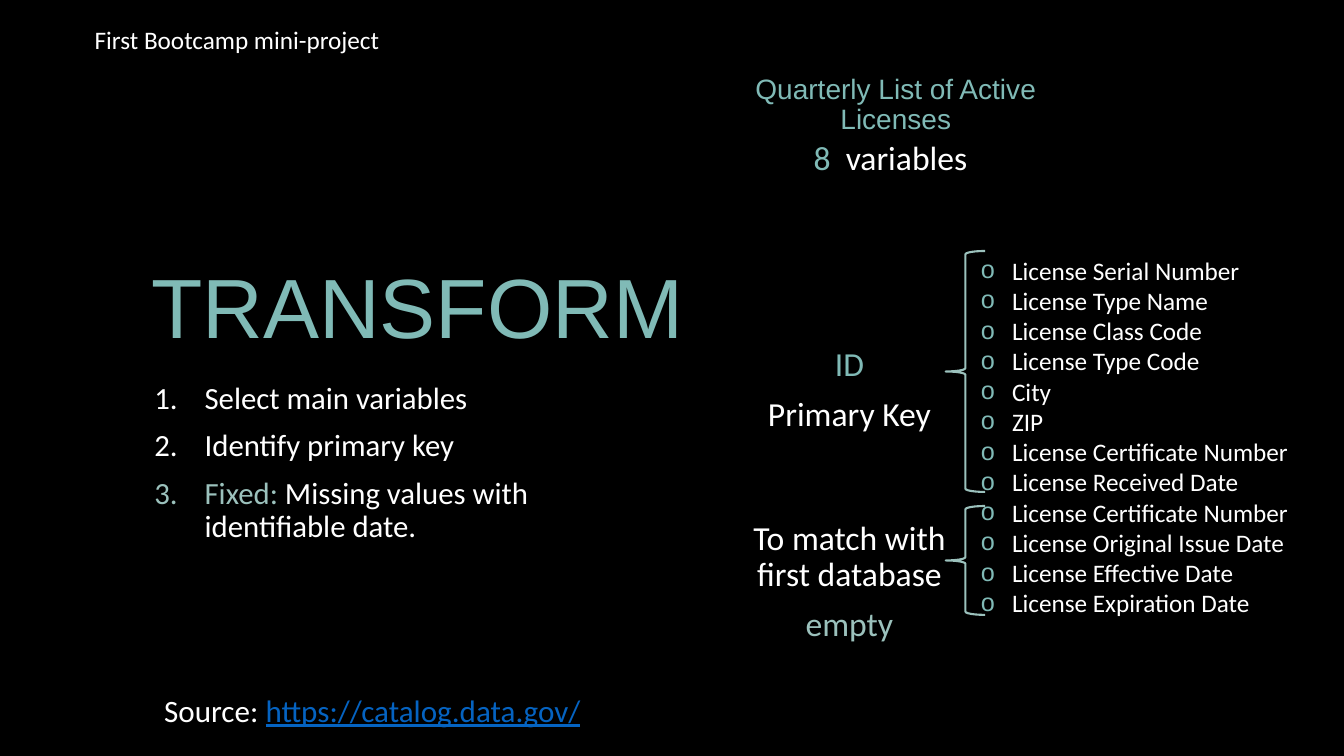
import pptx
import pptx.util
import pptx.dml.color
import pptx.enum.shapes
import pptx.enum.text
import pptx.oxml.ns
from lxml import etree

Inches = pptx.util.Inches
Pt = pptx.util.Pt
RGBColor = pptx.dml.color.RGBColor
Align = pptx.enum.text.PP_ALIGN
Anchor = pptx.enum.text.MSO_ANCHOR
Fit = pptx.enum.text.MSO_AUTO_SIZE

BLACK = RGBColor(0, 0, 0)
WHITE = RGBColor(255, 255, 255)
TEAL = RGBColor(0x80, 0xBA, 0xB6)
SAGE = RGBColor(0x9B, 0xC1, 0xBC)
BLUE = RGBColor(0x05, 0x63, 0xC1)


def put(para, text, size=24, font="Calibri", color=WHITE, line=False):
    """Add one formatted run to a paragraph."""
    run = para.add_run()
    run.text = text
    run.font.size = Pt(size)
    run.font.name = font
    run.font.color.rgb = color
    run.font.underline = line


def mark(para, tag, **attrs):
    """Add a bullet or tab element to a paragraph."""
    props = para._p.get_or_add_pPr()
    return etree.SubElement(props, pptx.oxml.ns.qn("a:" + tag), attrs)


class Deck:
    def __init__(self):
        self.prs = pptx.Presentation()
        self.prs.slide_width = Inches(13.33)
        self.prs.slide_height = Inches(7.5)
        self.slide = self.prs.slides.add_slide(self.prs.slide_layouts[0])
        self.slide.background.fill.solid()
        self.slide.background.fill.fore_color.rgb = BLACK

    def fill(self, shape, box, paras, align=Align.LEFT, gap=10, lead=0.9,
             indent=0, bullet=None, anchor=Anchor.TOP, fit=Fit.NONE,
             wrap=True, tab=0):
        """Place a text shape; each paragraph is a list of (text, format)."""
        shape.left, shape.top, shape.width, shape.height = map(Inches, box)
        frame = shape.text_frame
        frame.word_wrap = wrap
        frame.auto_size = fit
        frame.vertical_anchor = anchor
        for i, runs in enumerate(paras):
            para = frame.add_paragraph() if i else frame.paragraphs[0]
            para.alignment = align
            para.line_spacing = lead
            para.space_before = Pt(gap if i else 0)
            if indent:
                props = para._p.get_or_add_pPr()
                props.set("marL", str(Inches(indent)))
                props.set("indent", str(-Inches(indent)))
            if bullet == "1.":
                mark(para, "buFont", typeface="+mj-lt")
                mark(para, "buAutoNum", type="arabicPeriod")
            elif bullet:
                tint = mark(para, "buClr")
                etree.SubElement(tint, pptx.oxml.ns.qn("a:srgbClr"), val=str(TEAL))
                mark(para, "buFont", typeface="Arial")
                mark(para, "buChar", char=bullet)
            if tab:
                stops = mark(para, "tabLst")
                etree.SubElement(stops, pptx.oxml.ns.qn("a:tab"),
                                 pos=str(Inches(tab)), algn="l")
            for text, form in runs:
                put(para, text, **form)

    def title(self, box, paras, **form):
        self.fill(self.slide.shapes.title, box, paras, **form)

    def body(self, box, paras, **form):
        self.fill(self.slide.placeholders[1], box, paras, **form)

    def label(self, box, paras, **form):
        shape = self.slide.shapes.add_textbox(*map(Inches, box))
        self.fill(shape, box, paras, **form)

    def brace(self, top, height):
        kind = pptx.enum.shapes.MSO_SHAPE.LEFT_BRACE
        shape = self.slide.shapes.add_shape(
            kind, Inches(9.38), Inches(top), Inches(0.39), Inches(height))
        shape.shadow.inherit = False
        shape.fill.background()
        shape.line.color.rgb = SAGE
        shape.line.width = Pt(1.5)


def main():
    deck = Deck()

    # Title and steps
    deck.title((1.4, 2.08, 5.81, 1.51),
               [[("TRANSFORM", dict(size=60, font="Arial", color=TEAL))]],
               anchor=Anchor.BOTTOM)
    step = dict(size=22)
    deck.body((1.43, 3.75, 4.35, 1.85),
              [[("Select main variables", step)],
               [("Identify primary key", step)],
               [("Fixed:", dict(size=22, color=SAGE)),
                (" Missing values with identifiable date.", step)]],
              indent=0.5, bullet="1.")

    # Source and header
    deck.label((1.53, 6.88, 4.51, 0.41),
               [[("Source: ", dict(size=22.2)),
                 ("https://catalog.data.gov/",
                  dict(size=22.2, color=BLUE, line=True))]], lead=0.8)
    deck.label((0.84, 0.19, 3.05, 0.4),
               [[("First Bootcamp mini-project", dict(size=18))]],
               lead=1.0, wrap=False, fit=Fit.SHAPE_TO_FIT_TEXT)

    # Data set heading
    deck.label((6.92, 0.7, 3.93, 1.04),
               [[("Quarterly List of Active Licenses",
                  dict(size=20, font="Arial", color=TEAL))]],
               align=Align.CENTER)
    deck.label((7.97, 1.39, 2.11, 0.42),
               [[("8\t", dict(color=TEAL)), ("variables", {})]],
               lead=0.8, tab=0.32)

    # Variable groups
    deck.label((7.33, 3.4, 2.19, 1.04),
               [[("ID", dict(color=TEAL))], [("Primary Key", {})]],
               align=Align.CENTER)
    deck.brace(2.49, 2.39)
    names = ["License Serial Number", "License Type Name",
             "License Class Code", "License Type Code", "City", "ZIP",
             "License Certificate Number", "License Received Date",
             "License Certificate Number", "License Original Issue Date",
             "License Effective Date", "License Expiration Date"]
    deck.label((9.63, 2.48, 3.44, 3.74),
               [[(name, dict(size=18))] for name in names],
               align=Align.JUSTIFY, gap=0, lead=1.0, indent=0.31, bullet="o",
               fit=Fit.SHAPE_TO_FIT_TEXT)
    deck.brace(5.02, 1.08)
    deck.label((7.33, 5.12, 2.19, 1.36),
               [[("To match with first database", {})],
                [("empty", dict(color=SAGE))]], align=Align.CENTER)

    deck.prs.save("out.pptx")


if __name__ == "__main__":
    main()
